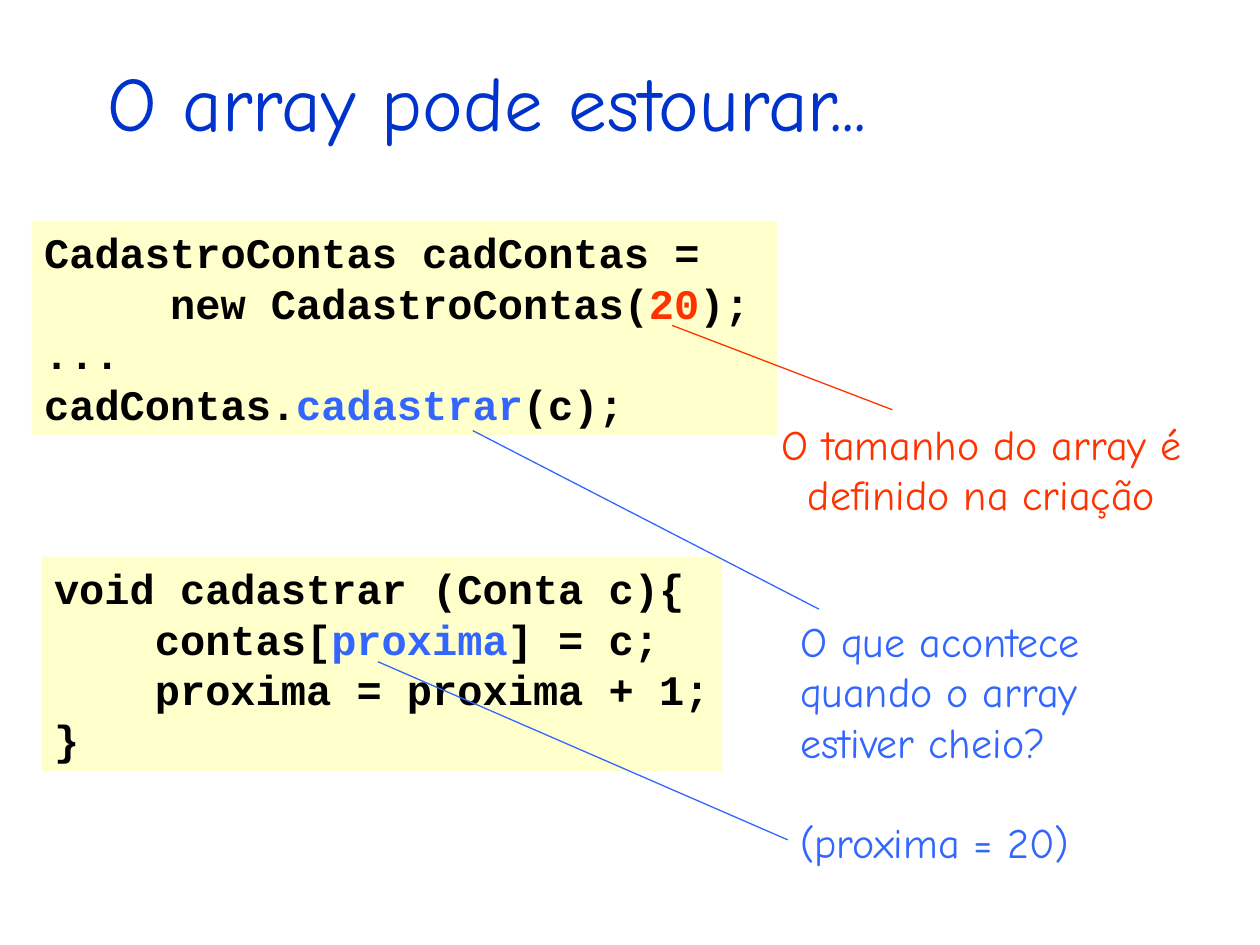
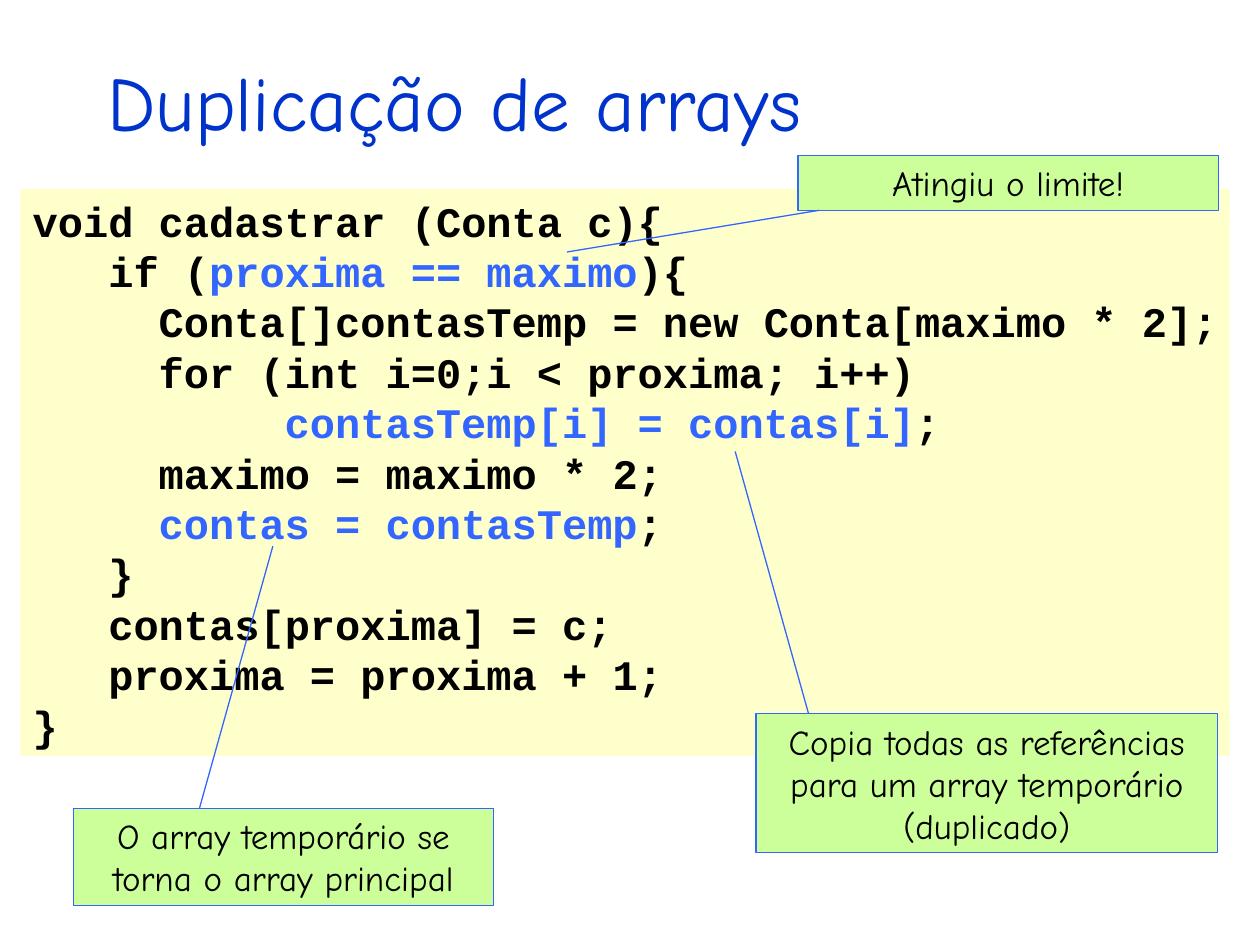
"""Build two slides on arrays that overflow and how to double them."""
from dataclasses import dataclass

from lxml.etree import SubElement
from pptx import Presentation
from pptx.dml.color import RGBColor as Rgb
from pptx.enum.shapes import MSO_CONNECTOR as Link, MSO_SHAPE as Preset
from pptx.enum.text import MSO_ANCHOR as Anchor, MSO_AUTO_SIZE as Fit, PP_ALIGN as Align
from pptx.oxml.ns import qn
from pptx.util import Cm, Pt


@dataclass(frozen=True)
class Theme:
    """Colours, fonts and type sizes shared by the slides."""
    title: str = "0033CC"
    ink: str = "000000"
    blue: str = "3366FF"
    red: str = "FF3300"
    code_fill: str = "FFFFCC"
    callout_fill: str = "CCFF99"
    prose_font: str = "Comic Neue"
    code_font: str = "Courier New"
    title_size: int = 44
    body_size: int = 24
    callout_size: int = 20
    line_width: float = 0.75


class Deck:
    """Hold the style and the current slide."""

    def __init__(self, theme):
        """Start an empty 4:3 presentation."""
        self.theme = theme
        self.prs = Presentation()
        self.prs.slide_width, self.prs.slide_height = Cm(25.4), Cm(19.05)
        self.slide = None

    def add_text(self, frame, paragraphs, size, color, font, align=Align.LEFT,
                 bold=False, gap=0):
        """Add paragraphs of (text, colour) runs or plain strings."""
        for index, runs in enumerate(paragraphs):
            paragraph = frame.add_paragraph() if index else frame.paragraphs[0]
            paragraph.alignment = align
            if index and gap:
                paragraph.space_before = Pt(gap)
            for part in runs:
                text, tint = (part, color) if isinstance(part, str) else part
                run = paragraph.add_run()
                run.text = text
                run.font.size, run.font.name, run.font.bold = Pt(size), font, bold
                run.font.color.rgb = Rgb.from_string(tint)

    def frame_of(self, shape, wrap=True):
        """Return the top-anchored text frame of a shape that fits its text."""
        frame = shape.text_frame
        frame.word_wrap, frame.auto_size = wrap, Fit.SHAPE_TO_FIT_TEXT
        frame.vertical_anchor = Anchor.TOP
        return frame

    def panel(self, box, fill):
        """Draw a filled rectangle without outline."""
        panel = self.slide.shapes.add_shape(Preset.RECTANGLE, *map(Cm, box))
        panel.shadow.inherit = False
        panel.fill.solid()
        panel.fill.fore_color.rgb = Rgb.from_string(fill)
        panel.line.fill.background()
        return panel

    def new_slide(self, heading):
        """Add a slide with its title."""
        theme = self.theme
        self.slide = self.prs.slides.add_slide(self.prs.slide_layouts[5])
        title = self.slide.shapes.title
        title.left, title.top, title.width, title.height = map(Cm, (1.91, 0.43, 21.59, 3.18))
        frame = title.text_frame
        frame.vertical_anchor, frame.auto_size = Anchor.MIDDLE, Fit.NONE
        self.add_text(frame, [[heading]], theme.title_size, theme.title, theme.prose_font)

    def code(self, box, lines, wrap=False):
        """Add a code listing on a yellow panel."""
        theme = self.theme
        listing = self.panel(box, theme.code_fill)
        self.add_text(self.frame_of(listing, wrap), lines, theme.body_size,
                      theme.ink, theme.code_font, bold=True)

    def remark(self, box, paragraphs, color, align=Align.LEFT, gap=0):
        """Add a coloured remark without a panel."""
        theme = self.theme
        remark = self.slide.shapes.add_textbox(*map(Cm, box))
        self.add_text(self.frame_of(remark), paragraphs, theme.body_size,
                      color, theme.prose_font, align, gap=gap)

    def callout(self, box, text):
        """Add a green outlined callout."""
        theme = self.theme
        callout = self.panel(box, theme.callout_fill)
        callout.line.color.rgb = Rgb.from_string(theme.blue)
        callout.line.width = Pt(theme.line_width)
        self.add_text(self.frame_of(callout), [[text]], theme.callout_size,
                      theme.ink, theme.prose_font, Align.CENTER)

    def pointer(self, start, end, color):
        """Draw a thin straight line between two points."""
        pointer = self.slide.shapes.add_connector(Link.STRAIGHT, *map(Cm, start + end))
        pointer.line.color.rgb = Rgb.from_string(color)
        pointer.line.width = Pt(self.theme.line_width)
        SubElement(pointer.element.spPr, qn("a:effectLst"))


def overflow_slide(deck):
    """Show where a fixed-size array runs out of room."""
    blue, red = deck.theme.blue, deck.theme.red
    deck.new_slide("O array pode estourar...")
    deck.code((0.84, 11.22, 13.72, 4.32), [
        ["void cadastrar (Conta c){"],
        ["    contas[", ("proxima", blue), "] = c;"],
        ["    proxima = proxima + 1;"],
        ["}"],
    ])
    deck.code((0.64, 4.45, 15.03, 4.32), [
        ["CadastroContas cadContas ="],
        ["     new CadastroContas(", ("20", red), ");"],
        ["..."],
        ["cadContas.", ("cadastrar", blue), "(c);"],
    ], wrap=True)
    deck.remark((14.6, 8.31, 10.37, 2.29),
                [["O tamanho do array é definido na criação"]], red, Align.CENTER)
    deck.pointer((13.55, 6.56), (17.99, 8.26), red)
    deck.remark((15.88, 12.28, 8.47, 5.33),
                [["O que acontece quando o array estiver cheio?"], ["(proxima = 20)"]],
                blue, gap=28.8)
    deck.pointer((9.53, 8.68), (16.51, 12.28), blue)
    deck.pointer((7.62, 13.34), (15.88, 16.93), blue)


def doubling_slide(deck):
    """Show the code that doubles the array, with callouts."""
    blue = deck.theme.blue
    deck.new_slide("Duplicação de arrays")
    deck.code((0.41, 3.81, 24.38, 11.43), [
        ["void cadastrar (Conta c){"],
        ["   if (", ("proxima == maximo", blue), "){"],
        ["     Conta[]contasTemp = new Conta[maximo * 2];"],
        ["     for (int i=0;i < proxima; i++)"],
        ["          ", ("contasTemp[i] = contas[i]", blue), ";"],
        ["     maximo = maximo * 2;"],
        ["     ", ("contas = contasTemp", blue), ";"],
        ["   }"],
        ["   contas[proxima] = c;"],
        ["   proxima = proxima + 1;"],
        ["}"],
    ])
    notes = [
        ((16.09, 3.13, 8.47, 1.11), "Atingiu o limite!", (16.51, 4.24), (11.43, 5.08)),
        ((1.48, 16.3, 8.47, 1.96), "O array temporário se torna o array principal",
         (4.02, 16.3), (5.5, 11.01)),
        ((15.24, 14.39, 9.31, 2.8),
         "Copia todas as referências para um array temporário (duplicado)",
         (16.3, 14.39), (14.82, 9.1)),
    ]
    for box, text, start, end in notes:
        deck.callout(box, text)
        deck.pointer(start, end, blue)


def main():
    """Build and save the presentation."""
    deck = Deck(Theme())
    overflow_slide(deck)
    doubling_slide(deck)
    deck.prs.save("out.pptx")


if __name__ == "__main__":
    main()
